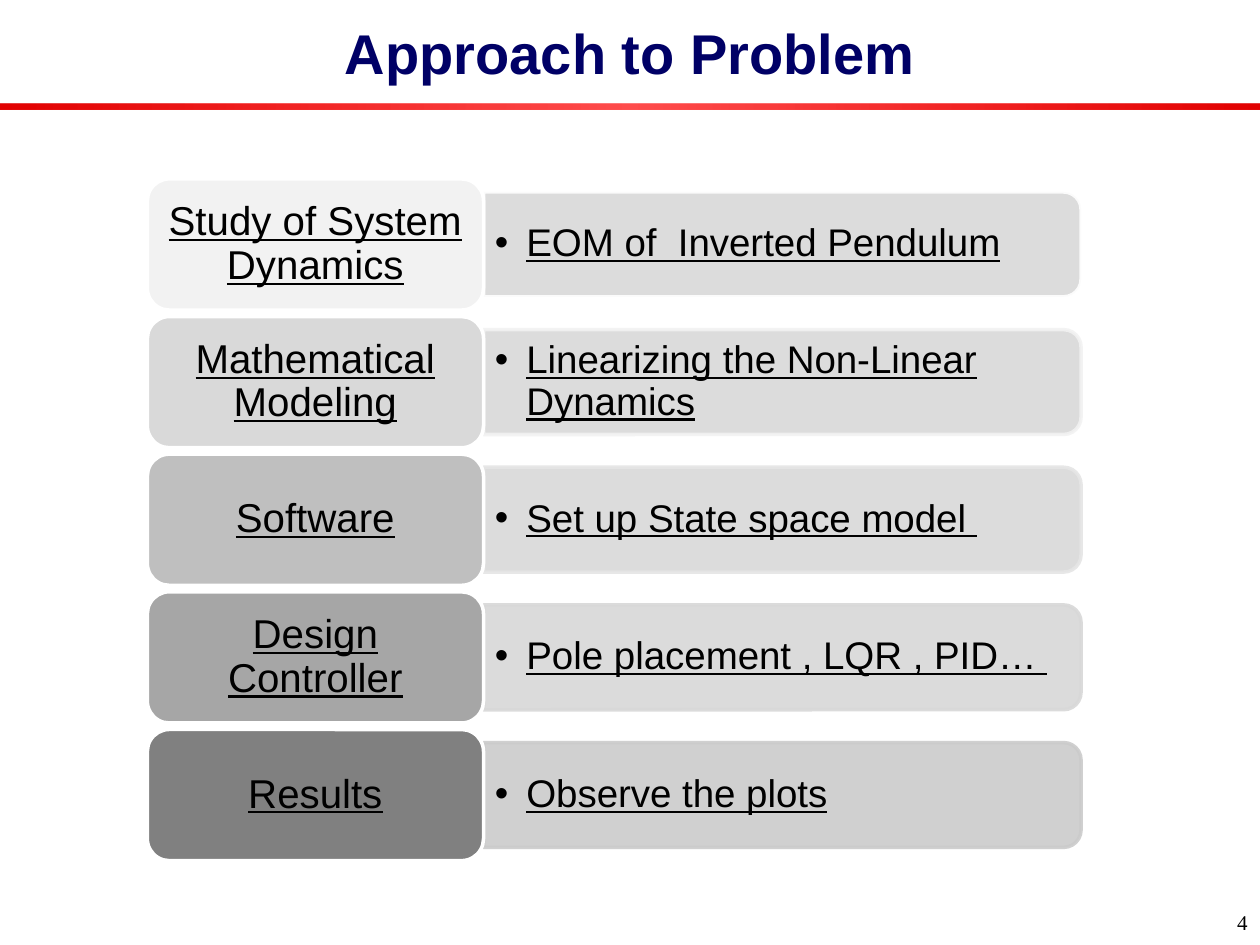
from lxml import etree
from pptx import Presentation
from pptx import util as u
from pptx.dml.color import RGBColor
from pptx.enum import shapes, text
from pptx.oxml import ns, parse_xml

WIDTH, HEIGHT = u.Inches(10), u.Inches(7.5)
BAR_TOP, BAR_HEIGHT = 0.11, 0.006  # shares of the slide height
LABEL_SHARE, DETAIL_SHARE, GAP_SHARE = 0.36, 0.8, 0.05

# label, label fill, detail, detail fill, detail line
STEPS = [
    ("Study of System Dynamics", "F2F2F2", "EOM of  Inverted Pendulum", "D9D9D9", "FFFFFF"),
    ("Mathematical Modeling", "D9D9D9", "Linearizing the Non-Linear Dynamics", "D9D9D9", "F2F2F2"),
    ("Software", "BFBFBF", "Set up State space model ", "D9D9D9", "E5E5E5"),
    ("Design Controller", "A6A6A6", "Pole placement , LQR , PID… ", "D8D8D8", "D8D8D8"),
    ("Results", "808080", "Observe the plots", "CBCBCB", "CBCBCB"),
]


def rgb(value):
    return RGBColor.from_string(value)


def box(*lengths):
    return [u.Emu(round(length)) for length in lengths]


def add_block(s, kind, bounds, fill, line=None):
    sp = s.shapes.add_shape(kind, *box(*bounds))
    sp.shadow.inherit = False
    sp.fill.solid()
    sp.fill.fore_color.rgb = rgb(fill)
    if line:
        sp.line.color.rgb = rgb(line)
        sp.line.width = u.Pt(2)
    else:
        sp.line.fill.background()
    return sp


def set_alpha(sp, percent):
    """Make the fill and the line of a shape partly transparent."""
    for color in sp._element.spPr.iter(ns.qn("a:srgbClr")):
        etree.SubElement(color, ns.qn("a:alpha")).set("val", str(percent * 1000))


def write(tf, words, size, align, font="Arial", color="000000", underline=None,
          bold=None, anchor=text.MSO_ANCHOR.MIDDLE):
    tf.word_wrap = True
    tf.vertical_anchor = anchor
    p = tf.paragraphs[0]
    p.alignment = align
    r = p.add_run()
    r.text = words
    r.font.name, r.font.size = font, u.Pt(size)
    r.font.bold, r.font.underline = bold, underline
    r.font.color.rgb = rgb(color)
    return p


def set_insets(tf, side, end):
    tf.margin_left = tf.margin_right = u.Inches(side)
    tf.margin_top = tf.margin_bottom = u.Inches(end)


def add_bullet(p, indent):
    pPr = p._p.get_or_add_pPr()
    pPr.set("marL", str(indent))
    pPr.set("indent", str(-indent))
    etree.SubElement(pPr, ns.qn("a:buFont")).set("typeface", "Arial")
    etree.SubElement(pPr, ns.qn("a:buChar")).set("char", "•")


def add_header(s, title):
    sp = s.shapes.title
    sp.left, sp.top, sp.width, sp.height = box(0, 0, WIDTH, BAR_TOP * HEIGHT)
    write(sp.text_frame, title, 32, text.PP_ALIGN.CENTER, color="000066", bold=True)

    bar = add_block(s, shapes.MSO_SHAPE.RECTANGLE,
                    (0, BAR_TOP * HEIGHT, WIDTH, BAR_HEIGHT * HEIGHT), "E20000")
    gradient = parse_xml(
        f'<a:gradFill {ns.nsdecls("a")} rotWithShape="1"><a:gsLst>'
        '<a:gs pos="0"><a:srgbClr val="E20000"/></a:gs>'
        '<a:gs pos="50000"><a:srgbClr val="FF0000"><a:alpha val="70000"/></a:srgbClr></a:gs>'
        '<a:gs pos="100000"><a:srgbClr val="E20000"/></a:gs>'
        '</a:gsLst><a:lin ang="0" scaled="1"/></a:gradFill>')
    spPr = bar._element.spPr
    spPr.replace(spPr.find(ns.qn("a:solidFill")), gradient)


def add_step(s, left, top, width, height, step):
    """Draw one row: a rounded label and a bulleted detail to its right."""
    label, label_fill, detail, detail_fill, detail_line = step
    label_width = LABEL_SHARE * width
    detail_width, detail_height = width - label_width, DETAIL_SHARE * height
    detail_left = left + label_width
    middle = top + height / 2

    # The shape is rounded at its top, so it is laid out upright and turned.
    center = detail_left + detail_width / 2
    sp = add_block(s, shapes.MSO_SHAPE.ROUND_2_SAME_RECTANGLE,
                   (center - detail_height / 2, middle - detail_width / 2,
                    detail_height, detail_width), detail_fill, detail_line)
    sp.rotation = 90
    set_alpha(sp, 90)

    tb = s.shapes.add_textbox(*box(detail_left, middle - detail_height / 2,
                                   detail_width, detail_height))
    set_insets(tb.text_frame, 0.09, 0.05)
    p = write(tb.text_frame, detail, 22, text.PP_ALIGN.LEFT, underline=True)
    p.line_spacing = 0.9
    add_bullet(p, u.Inches(0.25))

    sp = add_block(s, shapes.MSO_SHAPE.ROUNDED_RECTANGLE,
                   (left, top, label_width, height), label_fill, "FFFFFF")
    set_insets(sp.text_frame, 0.1, 0.05)
    p = write(sp.text_frame, label, 23, text.PP_ALIGN.CENTER, underline=True)
    p.line_spacing = 0.9


def add_steps(s, left, top, width, height):
    count = len(STEPS)
    row = height / (count + (count - 1) * GAP_SHARE)
    for i, step in enumerate(STEPS):
        add_step(s, left, top + i * row * (1 + GAP_SHARE), width, row, step)


def add_page_number(s, number):
    width, height = WIDTH * 0.13, HEIGHT * 0.04
    tb = s.shapes.add_textbox(*box(WIDTH - width, HEIGHT * 0.996 - height, width, height))
    write(tb.text_frame, number, 12, text.PP_ALIGN.RIGHT, font="Times New Roman",
          anchor=text.MSO_ANCHOR.TOP)


def main():
    prs = Presentation()
    prs.slide_width, prs.slide_height = WIDTH, HEIGHT
    s = prs.slides.add_slide(prs.slide_layouts[5])
    add_header(s, "Approach to Problem")
    add_steps(s, u.Inches(1.17), u.Inches(1.42), u.Inches(7.41), u.Inches(5.41))
    add_page_number(s, "4")
    prs.save("out.pptx")


if __name__ == "__main__":
    main()
